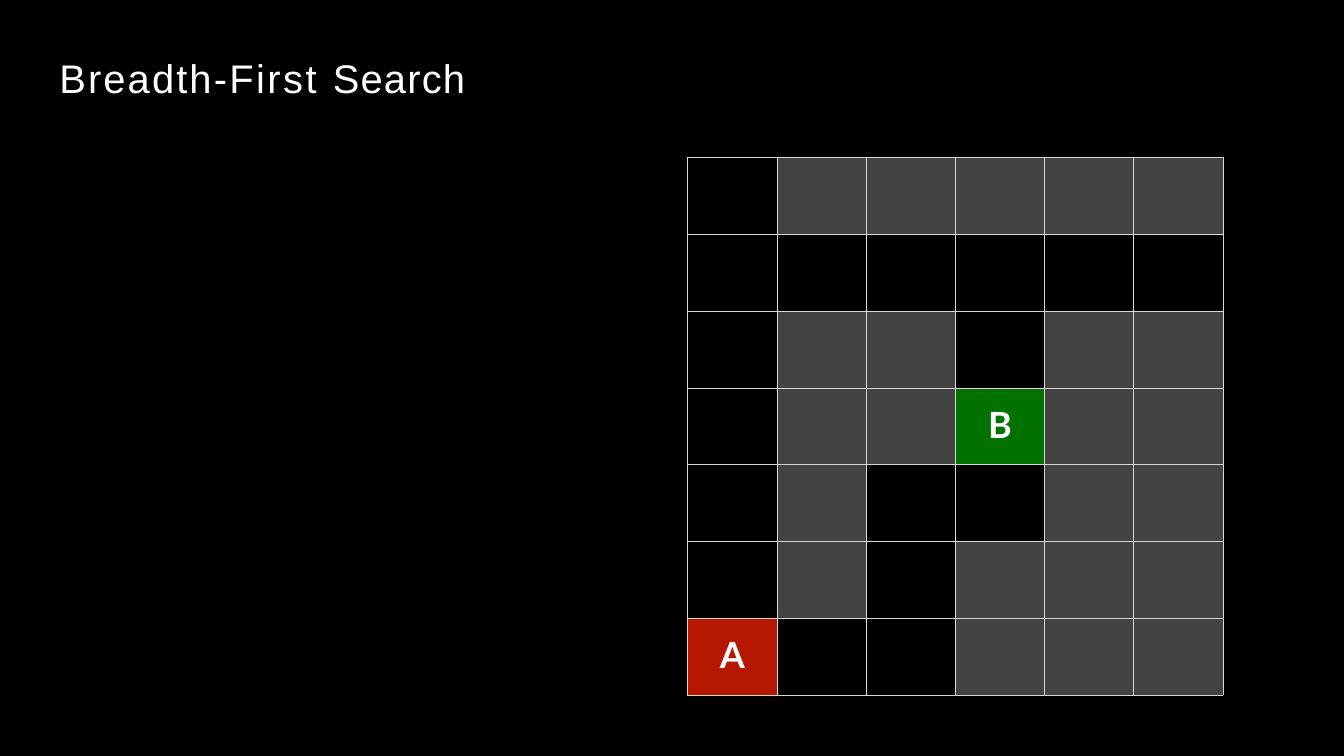
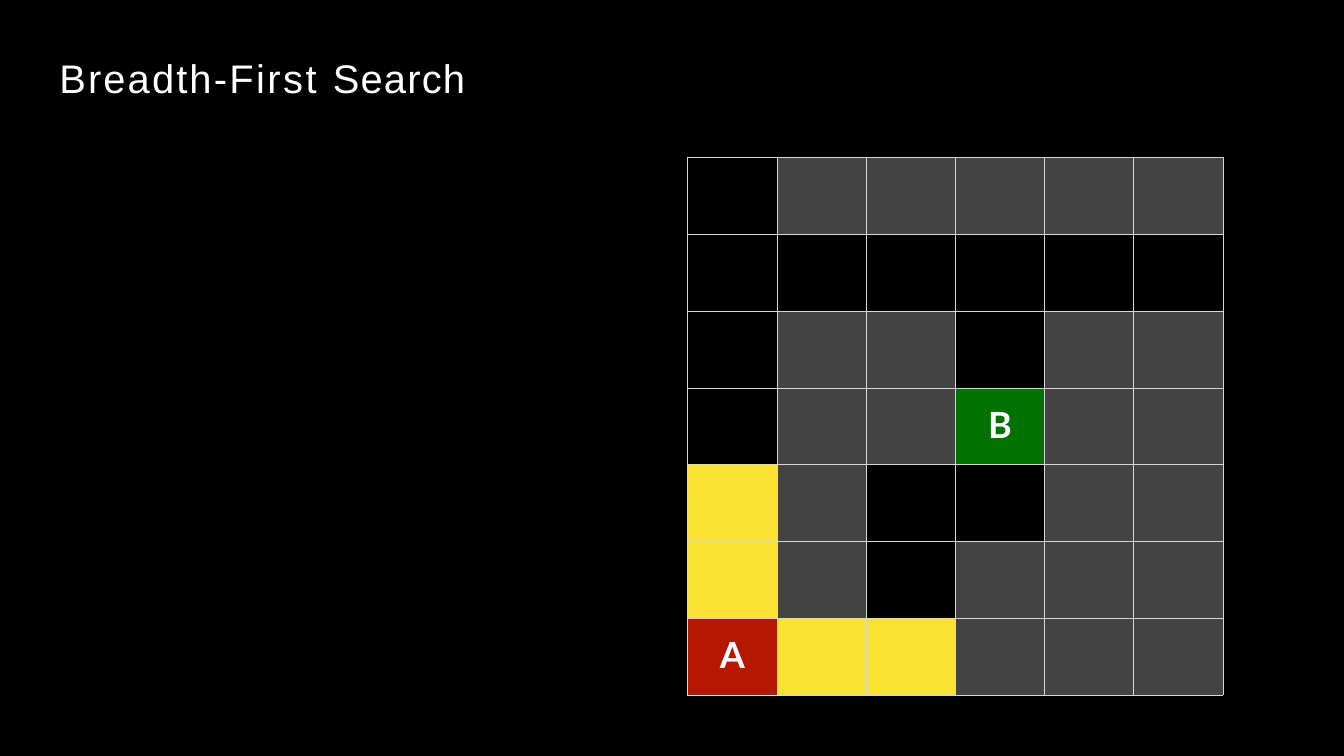
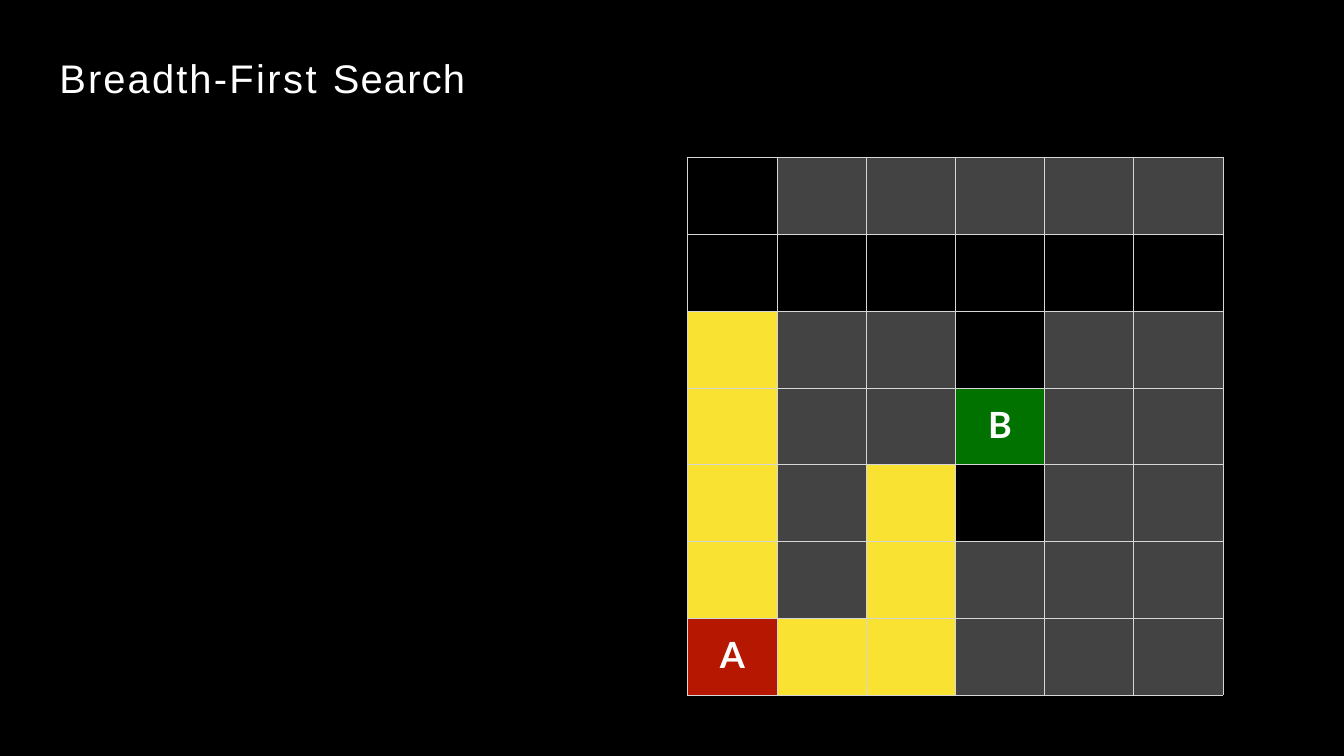
from collections import deque
from dataclasses import dataclass

from lxml.etree import SubElement
from pptx import Presentation
from pptx.dml.color import RGBColor
from pptx.enum.shapes import MSO_SHAPE
from pptx.enum.text import MSO_ANCHOR, MSO_AUTO_SIZE, PP_ALIGN
from pptx.oxml.ns import qn
from pptx.slide import Slide, SlideMaster
from pptx.table import _Cell as Cell
from pptx.text.text import _Paragraph as Paragraph
from pptx.util import Emu, Pt

EMU_PER_PX = 1270  # 720 px to the inch


def px(length: int) -> Emu:
    return Emu(length * EMU_PER_PX)


@dataclass(frozen=True)
class Theme:
    background: str = "000000"
    text: str = "FFFFFF"
    wall: str = "434343"
    start: str = "B51700"
    goal: str = "017100"
    explored: str = "FAE232"
    grid: str = "D6D7D6"
    grid_width: float = 1
    title_font: str = "Arial"
    title_size: float = 47
    label_font: str = "Lato"
    label_size: float = 42.5


@dataclass(frozen=True)
class Span:
    text: str
    spacing: float


@dataclass(frozen=True)
class Box:
    left: int
    top: int
    width: int
    height: int


THEME = Theme()
SLIDE_WIDTH, SLIDE_HEIGHT = 15833, 8906
TITLE_BOX = Box(490, 310, 9310, 1282)
TITLE_INDENT, TITLE_DROP = 209, 324
TITLE = (Span("Breadth-", 2.5), Span("First ", 2.9), Span("Search", 1.4))

MAZE = (
    ".#####",
    "......",
    ".##.##",
    ".##B##",
    ".#..##",
    ".#.###",
    "A..###",
)
MAZE_LEFT, MAZE_TOP = 8103, 1858
CELL_WIDTH, CELL_HEIGHT = 1051, 904
LABEL_DROP = 180
FILLS = {"#": THEME.wall, "A": THEME.start, "B": THEME.goal}
LABELS = {"A": Span("A", 4.2), "B": Span("B", 1.2)}
SEARCH_DEPTHS = (0, 2, 4)

Position = tuple[int, int]


def distances_from_start() -> dict[Position, int]:
    """Breadth-first step counts of every reachable cell."""
    start = next((r, row.index("A")) for r, row in enumerate(MAZE) if "A" in row)
    steps = {start: 0}
    frontier = deque([start])
    while frontier:
        row, col = frontier.popleft()
        for near in ((row - 1, col), (row + 1, col), (row, col - 1), (row, col + 1)):
            inside = 0 <= near[0] < len(MAZE) and 0 <= near[1] < len(MAZE[0])
            if inside and near not in steps and MAZE[near[0]][near[1]] != "#":
                steps[near] = steps[row, col] + 1
                frontier.append(near)
    return steps


def add_span(paragraph: Paragraph, span: Span, font: str, size: float, bold: bool) -> None:
    run = paragraph.add_run()
    run.text = span.text
    run.font.name = font
    run.font.size = Pt(size)
    run.font.bold = bold
    run.font.color.rgb = RGBColor.from_string(THEME.text)
    run.font._element.set("spc", str(round(span.spacing * 100)))


def set_backdrop(master: SlideMaster, slide: Slide) -> None:
    """Draw the backdrop on the slide, then move it behind everything on the master."""
    backdrop = slide.shapes.add_shape(
        MSO_SHAPE.RECTANGLE, 0, 0, px(SLIDE_WIDTH), px(SLIDE_HEIGHT)
    )
    backdrop.shadow.inherit = False
    backdrop.fill.solid()
    backdrop.fill.fore_color.rgb = RGBColor.from_string(THEME.background)
    backdrop.line.fill.background()
    master.shapes._spTree.insert(2, backdrop._element)


def set_title(slide: Slide) -> None:
    title = slide.shapes.title
    title.left, title.top = px(TITLE_BOX.left), px(TITLE_BOX.top)
    title.width, title.height = px(TITLE_BOX.width), px(TITLE_BOX.height)
    frame = title.text_frame
    frame.word_wrap = True
    frame.auto_size = MSO_AUTO_SIZE.NONE
    frame.vertical_anchor = MSO_ANCHOR.TOP
    frame.margin_left, frame.margin_top = px(TITLE_INDENT), px(TITLE_DROP)
    frame.margin_right = frame.margin_bottom = 0
    paragraph = frame.paragraphs[0]
    paragraph.alignment = PP_ALIGN.LEFT
    for span in TITLE:
        add_span(paragraph, span, THEME.title_font, THEME.title_size, False)


def add_borders(cell: Cell) -> None:
    properties = cell._tc.get_or_add_tcPr()
    for index, side in enumerate(("a:lnL", "a:lnR", "a:lnT", "a:lnB")):
        line = SubElement(properties, qn(side), w=str(Pt(THEME.grid_width)))
        SubElement(SubElement(line, qn("a:solidFill")), qn("a:srgbClr"), val=THEME.grid)
        properties.insert(index, line)


def fill_cell(cell: Cell, colour: str | None) -> None:
    if colour is None:
        cell.fill.background()
    else:
        cell.fill.solid()
        cell.fill.fore_color.rgb = RGBColor.from_string(colour)


def label_cell(cell: Cell, label: Span) -> None:
    cell.margin_left = cell.margin_right = cell.margin_bottom = 0
    cell.margin_top = px(LABEL_DROP)
    paragraph = cell.text_frame.paragraphs[0]
    paragraph.alignment = PP_ALIGN.CENTER
    add_span(paragraph, label, THEME.label_font, THEME.label_size, True)


def add_maze(slide: Slide, steps: dict[Position, int], depth: int) -> None:
    """Draw the maze with every cell within depth steps of A explored."""
    rows, cols = len(MAZE), len(MAZE[0])
    maze = slide.shapes.add_table(
        rows, cols, px(MAZE_LEFT), px(MAZE_TOP), px(cols * CELL_WIDTH), px(rows * CELL_HEIGHT)
    ).table
    maze.first_row = maze.horz_banding = False
    for row, marks in enumerate(MAZE):
        for col, mark in enumerate(marks):
            cell = maze.cell(row, col)
            explored = mark == "." and steps[row, col] <= depth
            fill_cell(cell, THEME.explored if explored else FILLS.get(mark))
            add_borders(cell)
            if mark in LABELS:
                label_cell(cell, LABELS[mark])


def main() -> None:
    prs = Presentation()
    prs.slide_width, prs.slide_height = px(SLIDE_WIDTH), px(SLIDE_HEIGHT)
    title_only = prs.slide_layouts.get_by_name("Title Only")
    steps = distances_from_start()
    for depth in SEARCH_DEPTHS:
        slide = prs.slides.add_slide(title_only)
        set_title(slide)
        add_maze(slide, steps, depth)
    set_backdrop(prs.slide_master, prs.slides[0])
    prs.save("out.pptx")


if __name__ == "__main__":
    main()
